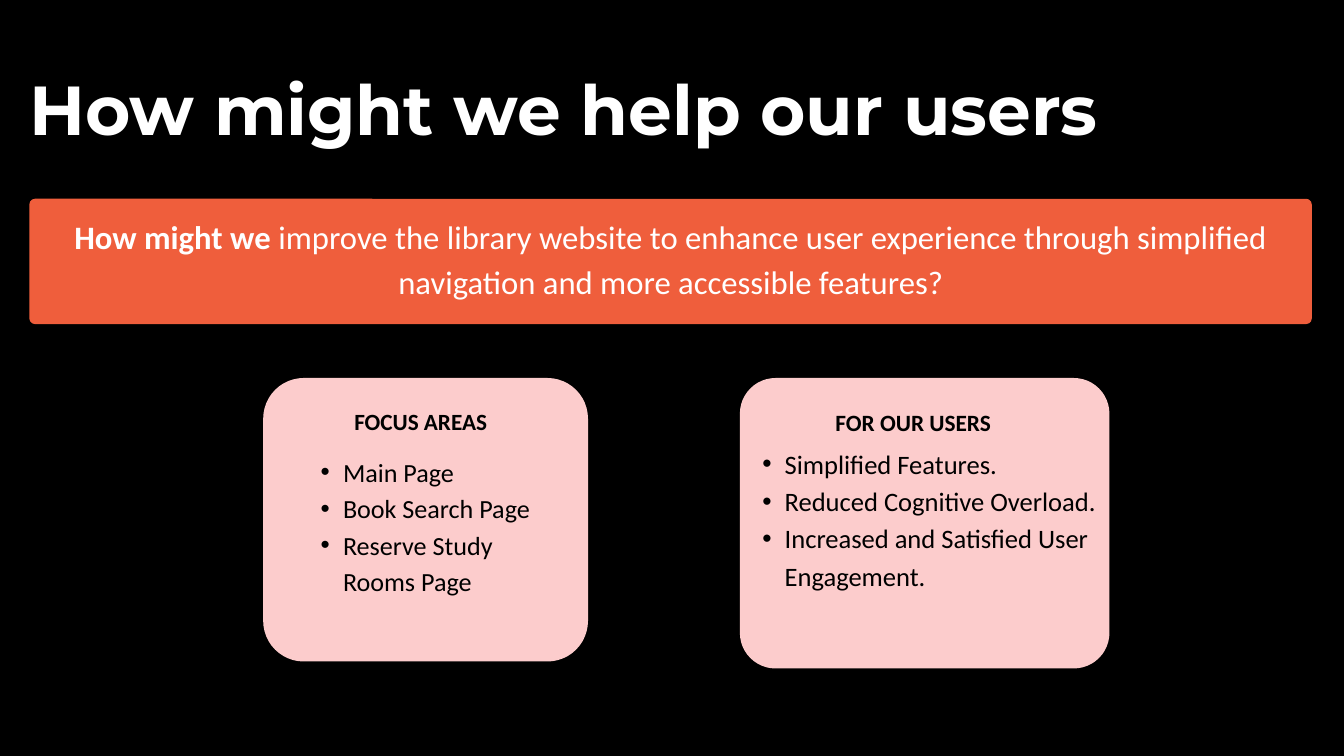
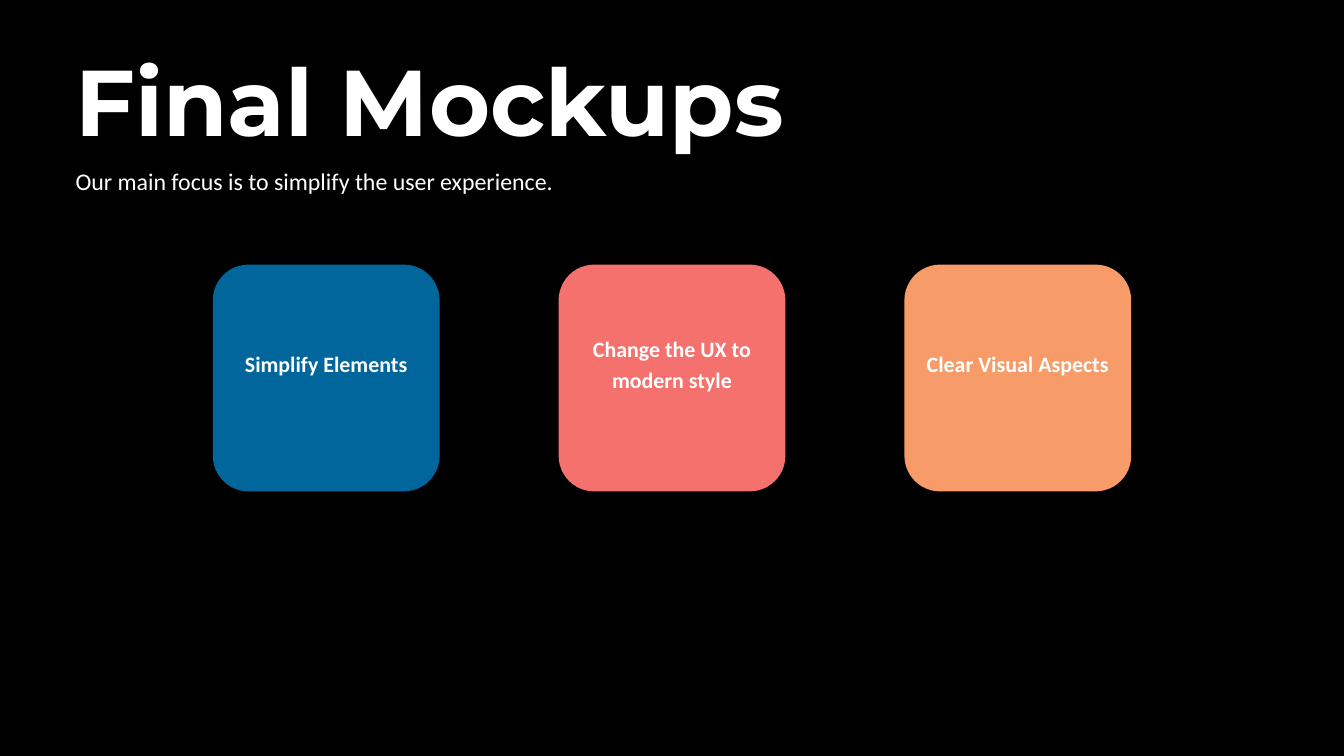
from lxml.etree import SubElement
from pptx import Presentation
from pptx.dml.color import RGBColor
from pptx.enum.shapes import MSO_SHAPE
from pptx.enum.text import MSO_ANCHOR, MSO_AUTO_SIZE, PP_ALIGN
from pptx.oxml.ns import qn
from pptx.util import Emu, Pt

# Shared style
COLORS = {
    "background": "000000",
    "light": "FFFFFF",
    "dark": "000000",
    "banner": "EF5E3C",
    "panel": "FCCCCC",
    "blue": "00669B",
    "coral": "F4716D",
    "orange": "F79B68",
}
TITLE_FONT = "Montserrat"
BODY_FONT = "Calibri"
EMU_PER_PX = 9525


def px(length):
    return Emu(length * EMU_PER_PX)


def color(name):
    return RGBColor.from_string(COLORS[name])


def place(shape, box):
    shape.left, shape.top, shape.width, shape.height = map(px, box)


def set_frame(shape, anchor=MSO_ANCHOR.TOP, inset=0):
    frame = shape.text_frame
    frame.word_wrap = True
    frame.auto_size = MSO_AUTO_SIZE.NONE
    frame.vertical_anchor = anchor
    frame.margin_left = frame.margin_right = px(inset)
    frame.margin_top = frame.margin_bottom = px(inset)
    return frame


def add_run(paragraph, text, size, color_name, bold=False, font=BODY_FONT):
    run = paragraph.add_run()
    run.text = text
    run.font.name = font
    run.font.size = Pt(size)
    run.font.bold = bold
    run.font.color.rgb = color(color_name)


def set_paragraph(paragraph, spacing, align=PP_ALIGN.LEFT):
    paragraph.alignment = align
    paragraph.line_spacing = Pt(spacing)
    paragraph.space_before = Pt(0)


# Element builders
def add_title(slide, text, box, size, spacing):
    title = slide.shapes.title
    place(title, box)
    paragraph = set_frame(title).paragraphs[0]
    set_paragraph(paragraph, spacing)
    add_run(paragraph, text, size, "light", True, TITLE_FONT)


def add_text(slide, box, runs, size, spacing, color_name="light",
             align=PP_ALIGN.CENTER, anchor=MSO_ANCHOR.TOP, inset=0):
    """Runs are (text, bold) pairs of one paragraph."""
    text_box = slide.shapes.add_textbox(*map(px, box))
    paragraph = set_frame(text_box, anchor, inset).paragraphs[0]
    set_paragraph(paragraph, spacing, align)
    for text, bold in runs:
        add_run(paragraph, text, size, color_name, bold)


def add_card(slide, box, radius, fill):
    card = slide.shapes.add_shape(MSO_SHAPE.ROUNDED_RECTANGLE, *map(px, box))
    card.adjustments[0] = radius / min(box[2:])
    card.shadow.inherit = False
    card.fill.solid()
    card.fill.fore_color.rgb = color(fill)
    card.line.fill.background()


def add_list(slide, index, box, items, size, spacing, indent):
    body = slide.placeholders[index]
    place(body, box)
    slide.shapes.element.append(body.element)  # in front of its card
    frame = set_frame(body)
    for number, item in enumerate(items):
        paragraph = frame.add_paragraph() if number else frame.paragraphs[0]
        properties = paragraph._p.get_or_add_pPr()
        properties.set("marL", str(px(indent)))
        properties.set("indent", str(px(-indent // 2)))
        SubElement(properties, qn("a:buFont"), typeface="Arial")
        SubElement(properties, qn("a:buChar"), char="•")
        set_paragraph(paragraph, spacing)
        add_run(paragraph, item, size, "dark")


# Slides
def build_users_slide(presentation):
    slide = presentation.slides.add_slide(presentation.slide_layouts[3])
    add_title(slide, "How might we help our users", (42, 75, 1878, 133), 74.2, 103.9)

    # Question banner
    add_card(slide, (42, 284, 1832, 179), 8, "banner")
    question = [
        ("How might we ", True),
        ("improve the library website to enhance user experience through "
         "simplified navigation and more accessible features?", False),
    ]
    add_text(slide, (59, 300, 1799, 133), question, 35, 49)

    # Focus areas
    add_card(slide, (376, 540, 464, 405), 58, "panel")
    add_text(slide, (427, 576, 348, 48), [("FOCUS AREAS", True)], 24.9, 34.8, "dark")
    add_list(slide, 1, (427, 644, 363, 262),
             ["Main Page", "Book Search Page", "Reserve Study Rooms Page"],
             28, 39.2, 63)

    # Benefits for users
    add_card(slide, (1057, 540, 528, 415), 51, "panel")
    add_text(slide, (1158, 576, 293, 48), [("FOR OUR USERS", True)], 25, 35, "dark")
    add_list(slide, 2, (1057, 632, 528, 267),
             ["Simplified Features.", "Reduced Cognitive Overload.",
              "Increased and Satisfied User Engagement."],
             28.5, 39.9, 64)


def build_mockups_slide(presentation):
    slide = presentation.slides.add_slide(presentation.slide_layouts[5])
    add_title(slide, "Final Mockups", (108, 35, 1537, 179), 100, 140)
    add_text(slide, (108, 231, 1612, 52),
             [("Our main focus is to simplify the user experience.", False)],
             25.6, 35.9, align=PP_ALIGN.LEFT)

    # Row of goals
    goals = [
        ("Simplify Elements", "blue"),
        ("Change the UX to modern style", "coral"),
        ("Clear Visual Aspects", "orange"),
    ]
    side, pitch = 324, 494
    for number, (goal, fill) in enumerate(goals):
        left = 304 + number * pitch
        add_card(slide, (left, 378, side, side), 51, fill)
        add_text(slide, (left, 332, side, 370), [(goal, True)], 23.5, 32.9,
                 anchor=MSO_ANCHOR.MIDDLE, inset=6)


def main():
    presentation = Presentation()
    presentation.slide_width = px(1920)
    presentation.slide_height = px(1080)
    background = presentation.slide_master.background.fill
    background.solid()
    background.fore_color.rgb = color("background")
    build_users_slide(presentation)
    build_mockups_slide(presentation)
    presentation.save("out.pptx")


if __name__ == "__main__":
    main()
